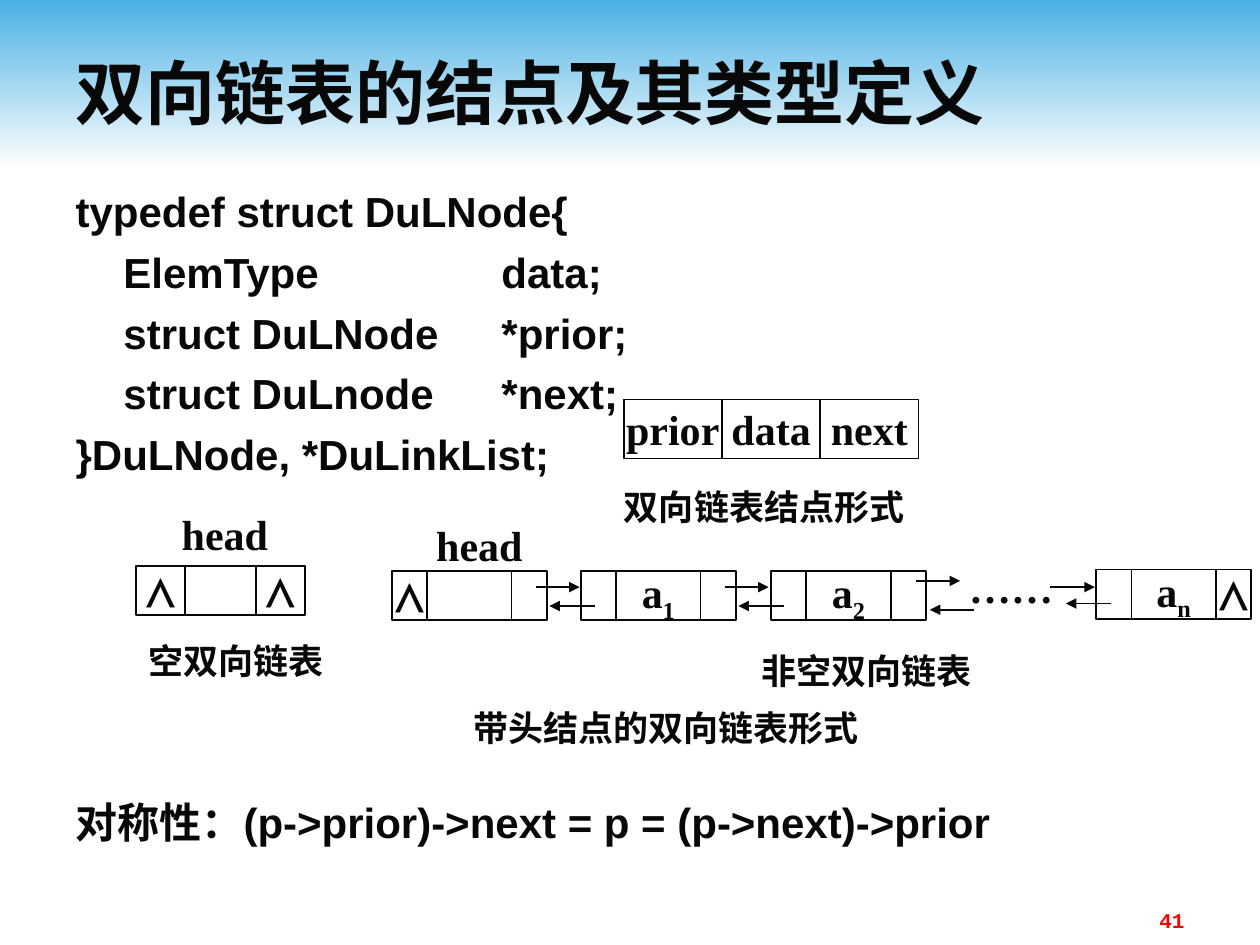
"""Build the slide on doubly linked list nodes and their type definition."""
from dataclasses import dataclass

from lxml.etree import SubElement
from pptx import Presentation
from pptx.dml.color import RGBColor
from pptx.enum.shapes import MSO_CONNECTOR, MSO_SHAPE
from pptx.enum.text import MSO_ANCHOR, MSO_AUTO_SIZE, PP_ALIGN
from pptx.oxml.ns import qn
from pptx.util import Inches, Pt

COLORS = {"ink": "080808", "sky": "4AB1E4", "pale": "FEFEFE", "number": "FF0000"}
SERIF, SANS, MONO, CHINESE = "Times New Roman", "Arial", "Courier New", "Noto Sans CJK SC"


@dataclass
class Node:
    left: float
    top: float
    height: float
    widths: tuple[float, ...]
    labels: tuple[str, ...]


@dataclass
class Label:
    text: str
    left: float
    top: float
    width: float
    height: float = 0.39
    size: float = 20


@dataclass
class Arrow:
    start: float
    end: float
    y: float


LINK_WIDTHS = (0.28, 0.67, 0.28)
NODES = [
    Node(4.95, 3.17, 0.47, (0.78, 0.78, 0.78), ("prior", "data", "next")),
    Node(1.08, 4.49, 0.39, (0.39, 0.56, 0.39), ("⋀", "", "⋀")),
    Node(3.11, 4.53, 0.39, LINK_WIDTHS, ("⋀", "", "")),
    Node(4.61, 4.53, 0.39, LINK_WIDTHS, ("", "a_1", "")),
    Node(6.12, 4.53, 0.39, LINK_WIDTHS, ("", "a_2", "")),
    Node(8.7, 4.52, 0.39, LINK_WIDTHS, ("", "a_n", "⋀")),
]
LABELS = [
    Label("双向链表结点形式", 4.37, 3.84, 3.39, 0.36),
    Label("head", 1.41, 4.04, 0.75, size=24),
    Label("head", 3.45, 4.13, 0.71, size=24),
    Label("……", 7.67, 4.46, 0.71, size=24),
    Label("空双向链表", 1.09, 5.05, 1.57),
    Label("非空双向链表", 5.97, 5.13, 1.81),
    Label("带头结点的双向链表形式", 2.74, 5.56, 5.09, 0.43),
]
ARROWS = [
    Arrow(4.25, 4.6, 4.66), Arrow(4.72, 4.36, 4.81),
    Arrow(5.75, 6.1, 4.66), Arrow(6.22, 5.86, 4.81),
    Arrow(7.27, 7.62, 4.61), Arrow(7.73, 7.38, 4.84),
    Arrow(8.33, 8.69, 4.66), Arrow(8.82, 8.46, 4.79),
]
CODE = [
    ("typedef struct DuLNode{",),
    ("\tElemType\t\tdata;",),
    ("\tstruct DuLNode\t*prior;",),
    ("\tstruct DuLnode\t*next;",),
    ("}DuLNode, *DuLinkList;",),
    ("对称性：", "(p->prior)->next = p = (p->next)->prior"),
]


def rgb(name: str) -> RGBColor:
    return RGBColor.from_string(COLORS[name])


def add_run(paragraph, text: str, size: float, font_name: str,
            color: str = "ink", baseline: int = 0) -> None:
    run = paragraph.add_run()
    run.text = text
    run.font.size = Pt(size)
    run.font.bold = True
    run.font.name = font_name
    run.font.color.rgb = rgb(color)
    properties = run._r.get_or_add_rPr()
    if any("一" <= character <= "龥" for character in text):
        SubElement(properties, qn("a:ea"), typeface=CHINESE)
    if baseline:
        properties.set("baseline", str(baseline))


def place(shape, left: float, top: float, width: float, height: float) -> None:
    shape.left, shape.top = Inches(left), Inches(top)
    shape.width, shape.height = Inches(width), Inches(height)


def add_centered_text(shape, text: str, size: float) -> None:
    frame = shape.text_frame
    frame.word_wrap = False
    frame.margin_left = frame.margin_right = 0
    frame.vertical_anchor = MSO_ANCHOR.MIDDLE
    paragraph = frame.paragraphs[0]
    paragraph.alignment = PP_ALIGN.CENTER
    base, _, subscript = text.partition("_")
    add_run(paragraph, base, size, SERIF)
    if subscript:
        add_run(paragraph, subscript, size, SERIF, baseline=-25000)


def add_node(slide, node: Node) -> None:
    left = node.left
    for width, label in zip(node.widths, node.labels):
        cell = slide.shapes.add_shape(MSO_SHAPE.RECTANGLE, Inches(left), Inches(node.top),
                                      Inches(width), Inches(node.height))
        cell.shadow.inherit = False
        cell.fill.background()
        cell.line.color.rgb = rgb("ink")
        cell.line.width = Pt(1)
        if label:
            add_centered_text(cell, label, 24)
        left += width


def add_label(slide, label: Label) -> None:
    box = slide.shapes.add_textbox(Inches(label.left), Inches(label.top),
                                   Inches(label.width), Inches(label.height))
    add_centered_text(box, label.text, label.size)


def add_arrow(slide, arrow: Arrow) -> None:
    connector = slide.shapes.add_connector(
        MSO_CONNECTOR.STRAIGHT, Inches(arrow.start), Inches(arrow.y),
        Inches(arrow.end), Inches(arrow.y))
    connector.line.color.rgb = rgb("ink")
    connector.line.width = Pt(1)
    SubElement(connector.line._get_or_add_ln(), qn("a:tailEnd"), type="triangle")
    SubElement(connector.element.spPr, qn("a:effectLst"))


def add_header_band(slide) -> None:
    band = slide.shapes.add_shape(MSO_SHAPE.RECTANGLE, 0, 0, Inches(10), Inches(1.33))
    band.shadow.inherit = False
    band.line.fill.background()
    band.fill.gradient()
    band.fill.gradient_angle = 270
    for stop, color in zip(band.fill.gradient_stops, ("sky", "pale")):
        stop.color.rgb = rgb(color)
    slide.shapes.element.insert(2, band.element)


def fill_title(title) -> None:
    place(title, 0.5, 0.25, 9, 0.95)
    title.text_frame.auto_size = MSO_AUTO_SIZE.NONE
    title.text_frame.vertical_anchor = MSO_ANCHOR.MIDDLE
    paragraph = title.text_frame.paragraphs[0]
    paragraph.alignment = PP_ALIGN.LEFT
    add_run(paragraph, "双向链表的结点及其类型定义", 40, SANS)


def fill_body(body) -> None:
    place(body, 0.5, 1.42, 9, 5.5)
    frame = body.text_frame
    frame.auto_size = MSO_AUTO_SIZE.NONE
    for index, pieces in enumerate(CODE):
        paragraph = frame.add_paragraph() if index else frame.paragraphs[0]
        properties = paragraph._p.get_or_add_pPr()
        properties.set("marL", str(Inches(0.38)))
        properties.set("indent", str(Inches(-0.38)))
        properties.set("defTabSz", str(Inches(1)))
        SubElement(properties, qn("a:buNone"))
        tabs = SubElement(properties, qn("a:tabLst"))
        for inch in range(8):
            SubElement(tabs, qn("a:tab"), pos=str(Inches(inch)), algn="l")
        paragraph.space_before = Pt(6 if index else 0)
        for piece in pieces:
            add_run(paragraph, piece, 24, SANS)
    paragraph.space_before = Pt(181)


def add_page_number(slide) -> None:
    box = slide.shapes.add_textbox(Inches(7.17), Inches(7.15), Inches(2.33), Inches(0.27))
    box.text_frame.word_wrap = True
    paragraph = box.text_frame.paragraphs[0]
    paragraph.alignment = PP_ALIGN.RIGHT
    add_run(paragraph, "41", 12, MONO, "number")


def main() -> None:
    presentation = Presentation()
    presentation.slide_width, presentation.slide_height = Inches(10), Inches(7.5)
    slide = presentation.slides.add_slide(presentation.slide_layouts[1])
    add_header_band(slide)
    fill_title(slide.shapes.title)
    fill_body(slide.placeholders[1])
    for items, draw in ((NODES, add_node), (LABELS, add_label), (ARROWS, add_arrow)):
        for item in items:
            draw(slide, item)
    add_page_number(slide)
    presentation.save("out.pptx")


if __name__ == "__main__":
    main()
